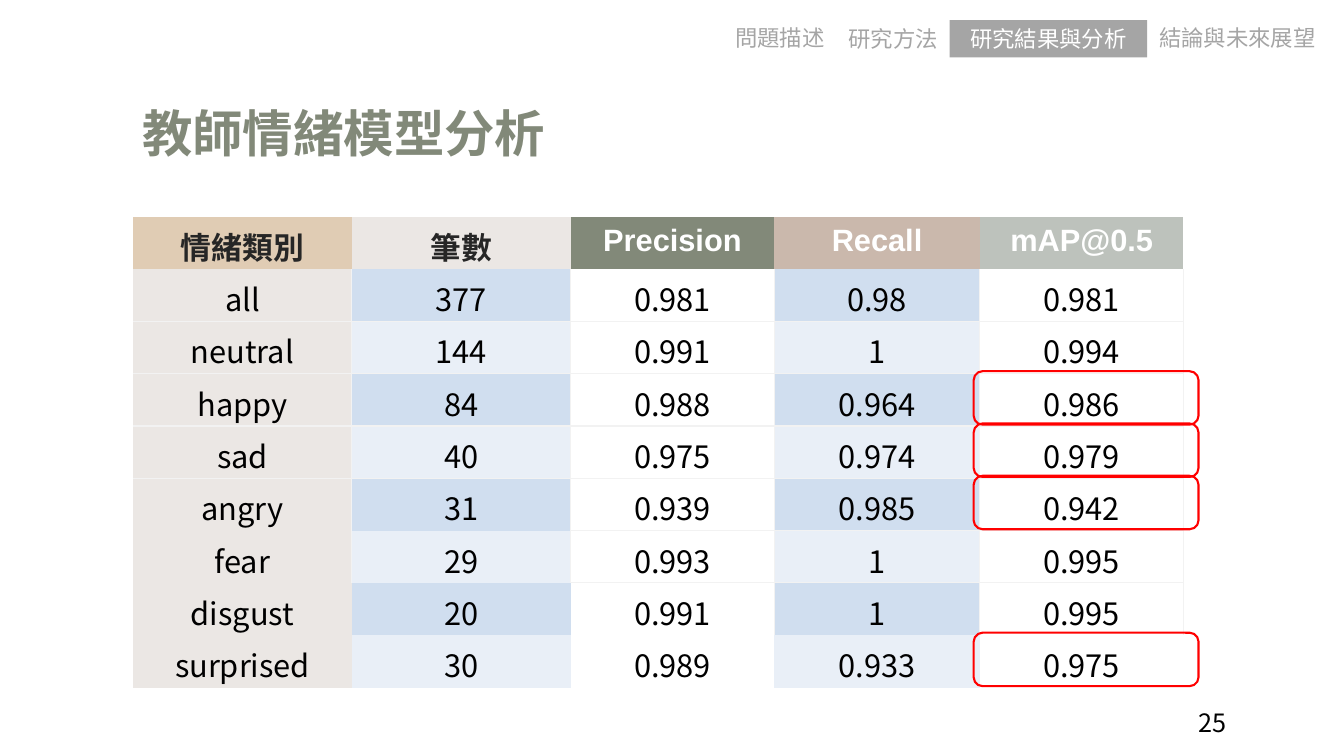
"""Build the slide on the teacher emotion model: tabs, title, score table and red frames."""
from dataclasses import dataclass

from lxml.etree import SubElement as Sub
from pptx import Presentation as Deck
from pptx.dml.color import RGBColor as Rgb
from pptx.enum.shapes import MSO_SHAPE as Form
from pptx.enum.text import MSO_ANCHOR as Anchor, PP_ALIGN as Align
from pptx.oxml.ns import qn
from pptx.util import Inches, Pt

WIDE, HIGH = Inches(13.33), Inches(7.5)
HUES = {"olive": "828979", "gray": "A5A5A5", "white": "FFFFFF", "black": "000000",
        "ink": "262626", "sand": "E0CCB4", "pale": "EBE7E4", "rose": "CAB8AC",
        "sage": "BDC2BC", "blue": "D0DEEF", "ice": "E9EFF7", "rule": "F2F2F2",
        "red": "FF0000"}
SC, TC, ARIAL = "Noto Sans CJK SC", "Noto Sans CJK TC", "Arial"


@dataclass
class Box:
    """Place in percent of the slide's width and height."""
    left: float
    top: float
    width: float
    height: float

    def emu(self) -> tuple:
        return across(self.left), down(self.top), across(self.width), down(self.height)


@dataclass
class Tab:
    text: str
    box: Box
    live: bool = False


@dataclass
class Head:
    text: str
    width: float
    fill: str
    hue: str = "white"
    font: str = ARIAL


TABS = [
    Tab("研究方法", Box(62.33, 2.67, 8.25, 4.93)),
    Tab("結論與未來展望", Box(83.63, 2.53, 16.88, 4.93)),
    Tab("研究結果與分析", Box(70.65, 2.67, 14.7, 4.93), live=True),
    Tab("問題描述", Box(53.18, 2.53, 9.68, 4.93)),
]
HEADS = [
    Head("情緒類別", 16.28, "sand", "ink", SC),
    Head("筆數", 16.28, "pale", "ink"),
    Head("Precision", 15.15, "olive"),
    Head("Recall", 15.3, "rose"),
    Head("mAP@0.5", 15.15, "sage"),
]
ROWS = [
    ("all", "377", "0.981", "0.98", "0.981"),
    ("neutral", "144", "0.991", "1", "0.994"),
    ("happy", "84", "0.988", "0.964", "0.986"),
    ("sad", "40", "0.975", "0.974", "0.979"),
    ("angry", "31", "0.939", "0.985", "0.942"),
    ("fear", "29", "0.993", "1", "0.995"),
    ("disgust", "20", "0.991", "1", "0.995"),
    ("surprised", "30", "0.989", "0.933", "0.975"),
]
GRID = Box(9.9, 28.67, sum(h.width for h in HEADS), 62.27)
STEP = GRID.height / (len(ROWS) + 1)
MARKS = ("happy", "sad", "angry", "surprised")


def across(share: float) -> int:
    return round(WIDE * share / 100)


def down(share: float) -> int:
    return round(HIGH * share / 100)


def color(name: str) -> Rgb:
    return Rgb.from_string(HUES[name])


def paint(item, name: str) -> None:
    item.fill.solid()
    item.fill.fore_color.rgb = color(name)


def write(frame, text: str, *, size: int, hue: str, font: str = SC,
          bold: bool = False, align=Align.CENTER) -> None:
    para = frame.paragraphs[0]
    para.alignment = align
    run = para.add_run()
    run.text = text
    run.font.size, run.font.bold, run.font.name = Pt(size), bold, font
    run.font.color.rgb = color(hue)
    east = SC if font == ARIAL else font
    Sub(run._r.get_or_add_rPr(), qn("a:ea"), typeface=east)


def label(shapes, box: Box, text: str, **style) -> None:
    note = shapes.add_textbox(*box.emu())
    note.text_frame.word_wrap = False
    write(note.text_frame, text, **style)


def block(shapes, form, box: Box):
    shape = shapes.add_shape(form, *box.emu())
    shape.shadow.inherit = False
    return shape


def tabs(shapes) -> None:
    group = shapes.add_group_shape().shapes
    for tab in TABS:
        if tab.live:
            shape = block(group, Form.RECTANGLE, tab.box)
            paint(shape, "gray")
            shape.line.fill.background()
            shape.text_frame.word_wrap = False
            write(shape.text_frame, tab.text, size=16, hue="white", font=TC)
        else:
            label(group, tab.box, tab.text, size=16, hue="gray", font=TC)


def edges(row: int, col: int) -> str:
    if row in (0, 8) or (row == 7 and col < 2):
        return ""
    side = "R" + ("L" if col > (2 if row == 7 else 0) else "")
    plain = col < 2 and row == 6
    if row > 1 and not plain:
        side += "T"
    if row < 7 and not plain and not (col < 2 and row == 5):
        side += "B"
    return side


def border(cell, sides: str) -> None:
    props = cell._tc.get_or_add_tcPr()
    for spot, side in enumerate("LRTB"):
        line = Sub(props, qn(f"a:ln{side}"), w=str(Pt(1)))
        if side in sides:
            Sub(Sub(line, qn("a:solidFill")), qn("a:srgbClr"), val=HUES["rule"])
        else:
            Sub(line, qn("a:noFill"))
        props.insert(spot, line)


def tint(row: int, col: int) -> str:
    if col == 0:
        return "pale"
    if col % 2 == 0:
        return "white"
    return "blue" if row % 2 else "ice"


def scores(shapes) -> None:
    table = shapes.add_table(len(ROWS) + 1, len(HEADS), *GRID.emu()).table
    table.first_row = table.horz_banding = False
    for line in table.rows:
        line.height = down(STEP)
    for col, head in enumerate(HEADS):
        table.columns[col].width = across(head.width)
        texts = [head.text] + [line[col] for line in ROWS]
        for row, text in enumerate(texts):
            cell = table.cell(row, col)
            cell.margin_left = cell.margin_right = Inches(0.08)
            cell.margin_top, cell.margin_bottom = Inches(0.07), 0
            cell.vertical_anchor = Anchor.TOP
            paint(cell, tint(row, col) if row else head.fill)
            border(cell, edges(row, col))
            if row:
                write(cell.text_frame, text, size=22, hue="black")
            else:
                write(cell.text_frame, text, size=22, hue=head.hue, font=head.font, bold=True)


def frames(shapes) -> None:
    for row, line in enumerate(ROWS, 1):
        if line[0] in MARKS:
            top = GRID.top + row * STEP - 0.33
            shape = block(shapes, Form.ROUNDED_RECTANGLE, Box(72.45, top, 16.73, 7.07))
            shape.fill.background()
            shape.line.color.rgb = color("red")
            shape.line.width = Pt(1.5)


def main() -> None:
    deck = Deck()
    deck.slide_width, deck.slide_height = WIDE, HIGH
    shapes = deck.slides.add_slide(deck.slide_layouts[6]).shapes
    label(shapes, Box(6.68, 12.8, 37.8, 9.47), "教師情緒模型分析",
          size=36, hue="olive", bold=True)
    tabs(shapes)
    scores(shapes)
    label(shapes, Box(88.43, 92.93, 7.5, 5.33), "25", size=18, hue="black", align=Align.LEFT)
    frames(shapes)
    deck.save("out.pptx")


if __name__ == "__main__":
    main()
